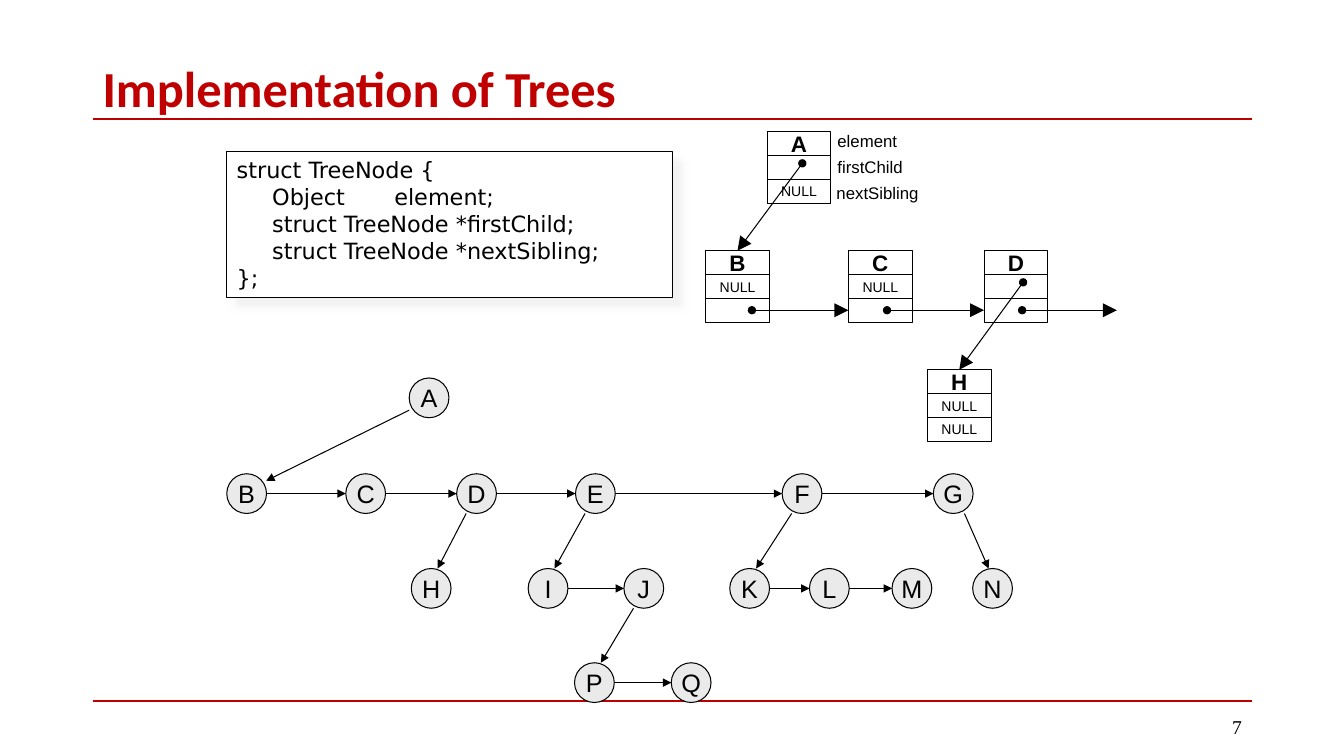
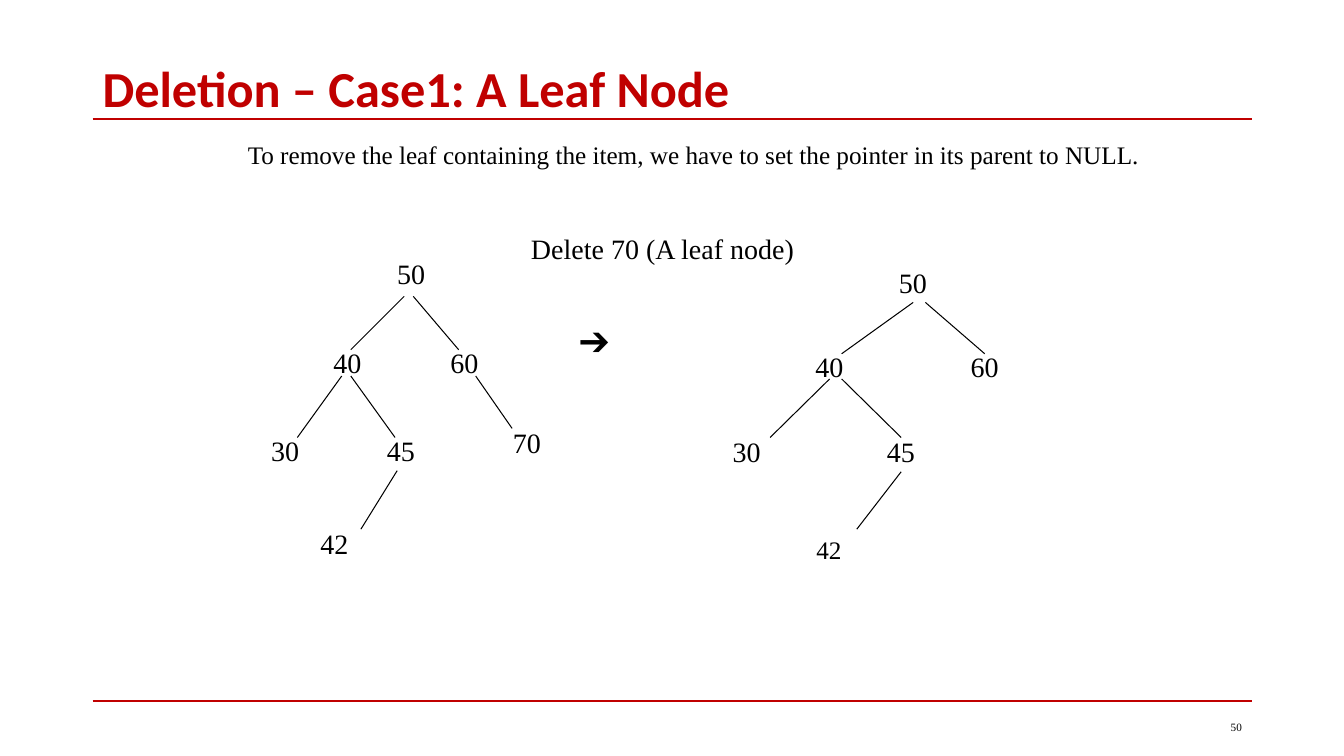
from dataclasses import dataclass

from lxml.etree import SubElement
from pptx import Presentation
from pptx.dml.color import RGBColor
from pptx.enum.shapes import MSO_CONNECTOR, MSO_SHAPE
from pptx.enum.text import MSO_ANCHOR, PP_ALIGN
from pptx.oxml.ns import qn
from pptx.util import Pt


@dataclass(frozen=True)
class Theme:
    accent: str = "C00000"
    ink: str = "000000"
    paper: str = "FFFFFF"
    node_fill: str = "EAEAEA"
    shadow: str = "E7E6E6"
    heading: str = "Calibri"
    body: str = "Times New Roman"
    diagram: str = "Arial"
    code: str = "DejaVu Sans"
    title_size: float = 36
    value_size: float = 20
    note_size: float = 18
    code_size: float = 16
    caption_size: float = 12
    null_size: float = 10
    rule_width: float = 1.5
    line_width: float = 0.75


THEME = Theme()
NODE = 28.4
RECORD_WIDTH, RECORD_ROW = 45.6, 17


def write(frame, text, *, size, font, color=THEME.ink, bold=False,
          align=PP_ALIGN.LEFT, anchor=MSO_ANCHOR.TOP, wrap=False,
          spacing=None, tab=None):
    frame.word_wrap = wrap
    frame.vertical_anchor = anchor
    for index, line in enumerate(text.split("\n")):
        para = frame.add_paragraph() if index else frame.paragraphs[0]
        para.alignment = align
        if spacing:
            para.line_spacing = spacing
        if tab:
            tabs = SubElement(para._p.get_or_add_pPr(), qn("a:tabLst"))
            SubElement(tabs, qn("a:tab"), pos=str(Pt(tab)), algn="l")
        span = para.add_run()
        span.text = line
        span.font.name = font
        span.font.size = Pt(size)
        span.font.bold = bold
        span.font.color.rgb = RGBColor.from_string(color)


class Slides:
    def __init__(self, theme):
        self.theme = theme
        self.deck = Presentation()
        self.deck.slide_width, self.deck.slide_height = Pt(960), Pt(540)
        self.page = None

    def start(self, title, number, number_size):
        theme = self.theme
        self.page = self.deck.slides.add_slide(self.deck.slide_layouts[6])
        for y in (85, 500.4):
            self.line((66.2, y), (894.2, y), color=theme.accent,
                      width=theme.rule_width)
        self.text(title, 66.2, 43.9, 828, 41.8, size=theme.title_size,
                  font=theme.heading, color=theme.accent, bold=True,
                  anchor=MSO_ANCHOR.MIDDLE, wrap=True, spacing=0.9)
        self.text(number, 678.2, 504.7, 216, 28.8, size=number_size,
                  font=theme.body, align=PP_ALIGN.RIGHT,
                  anchor=MSO_ANCHOR.MIDDLE, wrap=True)

    def text(self, text, left, top, width, height, **style):
        box = self.page.shapes.add_textbox(Pt(left), Pt(top), Pt(width), Pt(height))
        write(box.text_frame, text, **style)

    def shape(self, kind, left, top, width, height, fill=None):
        shape = self.page.shapes.add_shape(
            kind, Pt(left), Pt(top), Pt(width), Pt(height))
        shape.shadow.inherit = False
        if fill:
            shape.fill.solid()
            shape.fill.fore_color.rgb = RGBColor.from_string(fill)
        else:
            shape.fill.background()
        shape.line.color.rgb = RGBColor.from_string(self.theme.ink)
        shape.line.width = Pt(self.theme.line_width)
        return shape

    def line(self, start, end, color=None, width=None, head=None, tail=None,
             tail_size="med"):
        line = self.page.shapes.add_connector(
            MSO_CONNECTOR.STRAIGHT, *(Pt(value) for value in (*start, *end)))
        line.line.color.rgb = RGBColor.from_string(color or self.theme.ink)
        line.line.width = Pt(width or self.theme.line_width)
        properties = line._element.spPr
        outline = properties.find(qn("a:ln"))
        if head:
            SubElement(outline, qn("a:headEnd"), type=head)
        if tail:
            SubElement(outline, qn("a:tailEnd"), type=tail, w=tail_size, len=tail_size)
        SubElement(properties, qn("a:effectLst"))
        return line

    def code(self, text, left, top, width, height, tab):
        box = self.shape(MSO_SHAPE.RECTANGLE, left, top, width, height, self.theme.paper)
        effects = box._element.spPr.find(qn("a:effectLst"))
        shadow = SubElement(effects, qn("a:outerShdw"), blurRad=str(Pt(5)),
                            dist=str(Pt(8.5)), dir="2700000", algn="tl", rotWithShape="0")
        color = SubElement(shadow, qn("a:srgbClr"), val=self.theme.shadow)
        SubElement(color, qn("a:alpha"), val="50000")
        write(box.text_frame, text, size=self.theme.code_size,
              font=self.theme.code, wrap=True, tab=tab)

    def node(self, name, left, top):
        circle = self.shape(MSO_SHAPE.OVAL, left, top, NODE, NODE, self.theme.node_fill)
        write(circle.text_frame, name, size=self.theme.note_size,
              font=self.theme.diagram, align=PP_ALIGN.CENTER, anchor=MSO_ANCHOR.MIDDLE)

    def record(self, left, top, *cells):
        rows = []
        for index, cell in enumerate(cells):
            row = self.shape(MSO_SHAPE.RECTANGLE, left, top + index * RECORD_ROW,
                             RECORD_WIDTH, RECORD_ROW)
            if cell:
                is_name = index == 0
                write(row.text_frame, cell, bold=is_name, font=self.theme.diagram,
                      size=self.theme.code_size if is_name else self.theme.null_size,
                      align=PP_ALIGN.CENTER, anchor=MSO_ANCHOR.MIDDLE)
            rows.append(row)
        return rows

    def pointer(self, start, end, target=None, side=0):
        arrow = self.line(start, end, head="oval", tail="triangle", tail_size="lg")
        if target:
            arrow.end_connect(target, side)

    def value(self, text, left, top, size=None):
        self.text(text, left, top, 34.6, 31, size=size or self.theme.value_size,
                  font=self.theme.body)


def linked_records(slides):
    places = {"A": (547.9, 94.1), "B": (504, 179.1), "C": (606, 179.1),
              "D": (702.9, 179.1), "H": (662.4, 264.1)}
    cells = {"A": (None, "NULL"), "B": ("NULL", None), "C": ("NULL", None),
             "D": (None, None), "H": ("NULL", "NULL")}
    records = {name: slides.record(*place, name, *cells[name])
               for name, place in places.items()}
    for parent, child, offset in (("A", "B", 25.2), ("D", "H", 27.9)):
        left, top = places[parent]
        slides.pointer((left + offset, top + 22.6), places[child], records[child][0], 0)
    for name, following, offset in (("B", "C", 33.1), ("C", "D", 27.6), ("D", None, 27.2)):
        left, top = places[name]
        start = (left + offset, top + 2.5 * RECORD_ROW)
        target = records[following][2] if following else None
        slides.pointer(start, (start[0] + 67.7, start[1]), target, 1)
    for caption, left, top, width in (("element", 591.1, 90, 57.6),
                                      ("firstChild", 591.1, 108.4, 61.2),
                                      ("nextSibling", 590.4, 126.8, 73.4)):
        slides.text(caption, left, top, width, 22.3,
                    size=slides.theme.caption_size, font=slides.theme.diagram)


def sibling_tree(slides):
    rows = (
        (270, {"A": 292.3}),
        (338.4, {"B": 162, "C": 247, "D": 326.2, "E": 411.1, "F": 558.7, "G": 666.7}),
        (406.1, {"H": 293.8, "I": 377.3, "J": 445.7, "K": 521.3, "L": 578.2,
                 "M": 637.2, "N": 694.8}),
        (473.4, {"P": 410.4, "Q": 479.5}),
    )
    places = {name: (left, top) for top, row in rows for name, left in row.items()}
    for name, place in places.items():
        slides.node(name, *place)
    for first, second in ("BC", "CD", "DE", "EF", "FG", "IJ", "KL", "LM", "PQ"):
        left, top = places[first]
        middle = top + NODE / 2
        slides.line((left + NODE, middle), (places[second][0], middle), tail="triangle")
    for parent, child in ("DH", "EI", "FK", "GN", "JP"):
        (left, top), (child_left, child_top) = places[parent], places[child]
        leave, arrive = (6.8, 18.8) if child_left < left else (22.2, 11.4)
        slides.line((left + leave, top + NODE), (child_left + arrive, child_top),
                    tail="triangle")
    slides.line((292.3, 293), (190.1, 343.4), tail="triangle")


def search_tree(slides, values, edges):
    for start, end in edges:
        slides.line(start, end)
    for value in values:
        slides.value(*value)


def main():
    slides = Slides(THEME)

    slides.start("Implementation of Trees", "7", 14)
    slides.code("struct TreeNode {\n"
                "     Object\telement;\n"
                "     struct TreeNode *firstChild;\n"
                "     struct TreeNode *nextSibling;\n"
                "};", 162, 108, 318.2, 104.4, tab=112.6)
    sibling_tree(slides)
    linked_records(slides)

    slides.start("Deletion – Case1: A Leaf Node", "50", 8)
    for text, left, top, width, height, size in (
            ("To remove the leaf containing the item, we have to set the pointer "
             "in its parent to NULL.", 169.9, 95.8, 658.1, 28.8, THEME.note_size),
            ("Delete 70 (A leaf node)", 372.2, 162, 203, 31, THEME.value_size),
            ("➔", 406.8, 225.4, 40.3, 36, 24)):
        slides.text(text, left, top, width, height, size=size, font=THEME.body)
    search_tree(
        slides,
        (("50", 276.5, 180), ("40", 231.1, 243.4), ("60", 314.6, 243.4),
         ("30", 186.5, 306), ("45", 269.3, 306), ("70", 359.3, 300.2),
         ("42", 221.8, 372.2)),
        (((288.7, 211.7), (250.6, 249.8)), ((295.2, 211.7), (327.6, 249.8)),
         ((244.1, 268.6), (212.4, 312.5)), ((250.6, 268.6), (282.2, 312.5)),
         ((339.8, 268.6), (365.8, 306)), ((283.7, 336.2), (257.8, 378))))
    search_tree(
        slides,
        (("50", 635, 185.8), ("40", 575.3, 246.2), ("60", 686.2, 246.2),
         ("30", 516.2, 306.7), ("45", 626.4, 306.7),
         ("42", 576, 378, THEME.note_size)),
        (((652.3, 216), (601.2, 252.7)), ((661, 216), (703.4, 252.7)),
         ((592.6, 270.7), (550.1, 312.5)), ((601.2, 270.7), (643.7, 312.5)),
         ((643.7, 337), (612, 378))))

    slides.deck.save("out.pptx")


if __name__ == "__main__":
    main()
